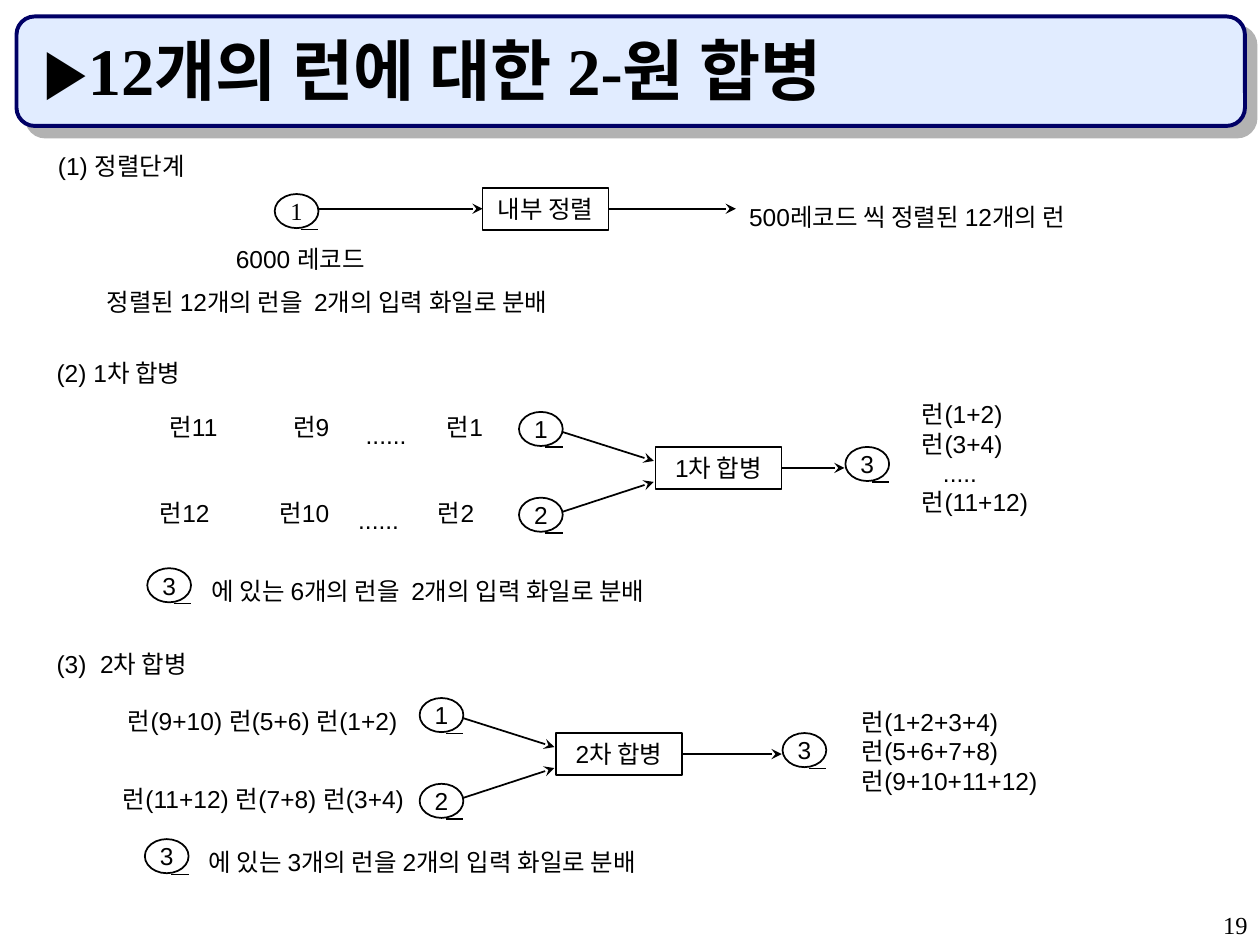
from lxml import etree
from pptx import Presentation
from pptx.dml.color import RGBColor
from pptx.enum.shapes import MSO_CONNECTOR, MSO_SHAPE
from pptx.enum.text import MSO_ANCHOR, PP_ALIGN
from pptx.oxml import parse_xml
from pptx.oxml.ns import nsdecls, qn
from pptx.util import Pt

STRAIGHT = MSO_CONNECTOR.STRAIGHT
OVAL, RECTANGLE, ROUNDED = MSO_SHAPE.OVAL, MSO_SHAPE.RECTANGLE, MSO_SHAPE.ROUNDED_RECTANGLE
LEFT, CENTER, RIGHT = PP_ALIGN.LEFT, PP_ALIGN.CENTER, PP_ALIGN.RIGHT
TOP, MIDDLE, BOTTOM = MSO_ANCHOR.TOP, MSO_ANCHOR.MIDDLE, MSO_ANCHOR.BOTTOM

COLORS = {"ink": "000000", "panel": "E1ECFF", "border": "000066", "shadow": "B2B2B2"}
INK = RGBColor.from_string(COLORS["ink"])
TAPE_W, TAPE_H = 25, 19.5
BOX_W, BOX_H = 72, 24

prs = Presentation()
prs.slide_width, prs.slide_height = Pt(720), Pt(540)
slide = prs.slides.add_slide(prs.slide_layouts[6])


def write(text, x, y, w, h=24, outline=None, size=14, font="Arial", bold=False,
          align=LEFT, anchor=TOP, wrap=True, indents=None):
    """Put text in a text box, or in an outlined shape when one is named."""
    area = [Pt(v) for v in (x, y, w, h)]
    if outline is None:
        holder = slide.shapes.add_textbox(*area)
    else:
        holder = slide.shapes.add_shape(outline, *area)
        holder.shadow.inherit = False
        holder.fill.background()
        holder.line.color.rgb = INK
        holder.line.width = Pt(1)
    frame = holder.text_frame
    frame.word_wrap = wrap
    frame.vertical_anchor = anchor
    frame.text = text
    for number, paragraph in enumerate(frame.paragraphs):
        if indents and number in indents:
            paragraph._p.get_or_add_pPr().set("marL", str(Pt(indents[number])))
        paragraph.alignment = align
        paragraph.font.size = Pt(size)
        paragraph.font.name = font
        paragraph.font.bold = bold
        paragraph.font.color.rgb = INK
    return holder


def draw_line(start, end, arrow=True):
    """Draw a thin black line, with a stealth arrowhead at its end if wanted."""
    link = slide.shapes.add_connector(STRAIGHT, *[Pt(v) for v in (*start, *end)])
    link.line.color.rgb = INK
    link.line.width = Pt(1)
    if arrow:
        etree.SubElement(link.line._get_or_add_ln(), qn("a:tailEnd"), type="stealth")
    etree.SubElement(link._element.spPr, qn("a:effectLst"))
    return link


# Title panel
panel = slide.shapes.add_shape(ROUNDED, Pt(9.4), Pt(9.4), Pt(702), Pt(62.6))
panel.fill.solid()
panel.fill.fore_color.rgb = RGBColor.from_string(COLORS["panel"])
panel.line.color.rgb = RGBColor.from_string(COLORS["border"])
panel.line.width = Pt(2.25)
panel._element.spPr.append(parse_xml(
    f'<a:effectLst {nsdecls("a")}><a:outerShdw dist="{Pt(8.5)}" dir="2700000" '
    f'algn="ctr" rotWithShape="0"><a:srgbClr val="{COLORS["shadow"]}"/>'
    '</a:outerShdw></a:effectLst>'))
write("▶12개의 런에 대한 2-원 합병", 18, 18, 678, 48,
      size=38, font="Times New Roman", bold=True, anchor=BOTTOM)

# Step headings, notes and page number
for text, x, y, width in [
    ("(1) 정렬단계", 26, 83, 110),
    ("500레코드 씩 정렬된 12개의 런", 421, 111.6, 230),
    ("정렬된 12개의 런을  2개의 입력 화일로 분배", 53.8, 160.6, 320),
    ("(2) 1차 합병", 25.2, 200.9, 110),
    ("에 있는 6개의 런을  2개의 입력 화일로 분배", 114, 325.4, 310),
    ("(3)  2차 합병", 25.2, 367.2, 110),
    ("에 있는 3개의 런을 2개의 입력 화일로 분배", 112.2, 480.2, 310),
]:
    write(text, x, y, width)
write("19", 570, 516.2, 150, font="Times New Roman", align=RIGHT)

# Step 1: internal sort
sort_box = write("내부 정렬", 275.8, 107.3, BOX_W, BOX_H, outline=RECTANGLE,
                 align=CENTER, anchor=MIDDLE, wrap=False)
sort_y = 107.3 + BOX_H / 2
draw_line((182.2, sort_y), (275.8, sort_y)).end_connect(sort_box, 1)
draw_line((347.8, sort_y), (420.5, sort_y)).begin_connect(sort_box, 3)
write("6000 레코드", 126, 136, 91.4, align=CENTER, wrap=False)

# Tapes outside the merge diagrams: number, left, top, font
tapes = [("1", 157, 110.9, "Times New Roman"),
         ("3", 84.2, 324.7, "Arial"),
         ("3", 82.8, 479.5, "Arial")]

# Steps 2 and 3: two input tapes merge into an output tape
for label, x, y, output_gap in [("1차 합병", 296.6, 235.4, 186.5),
                                ("2차 합병", 239.8, 398.9, 207.4)]:
    merge_box = write(label, x + 78, y + 20, BOX_W, BOX_H, outline=RECTANGLE,
                      align=CENTER, anchor=MIDDLE, wrap=False)
    tapes += [("1", x, y, "Arial"), ("2", x, y + 49, "Arial"),
              ("3", x + output_gap, y + 20, "Arial")]
    draw_line((x + TAPE_W, y + 11.5), (x + 77, y + 28))
    draw_line((x + TAPE_W, y + 57), (x + 77, y + 40))
    output_y = y + 20 + BOX_H / 2
    draw_line((x + 78 + BOX_W, output_y),
              (x + output_gap - 0.5, output_y)).begin_connect(merge_box, 3)

# Tape symbols: a circle with a short foot at the lower right
for number, x, y, font in tapes:
    write(number, x, y, TAPE_W, TAPE_H, outline=OVAL, font=font,
          align=CENTER, anchor=MIDDLE, wrap=False)
    foot_y = y + TAPE_H + 0.7
    draw_line((x + 15, foot_y), (x + TAPE_W, foot_y), arrow=False)

# Runs on the input tapes
for text, x, y, width in [
    ("런11", 87.1, 231.8, 46.8), ("런9", 158.4, 231.8, 38.9),
    ("......", 201.6, 236.2, 38.2), ("런1", 246.2, 231.8, 38.9),
    ("런12", 82.1, 280.8, 46.8), ("런10", 150.5, 280.8, 46.8),
    ("......", 197.3, 285.1, 38.2), ("런2", 241.2, 280.8, 38.9),
    ("런(9+10) 런(5+6) 런(1+2)", 57.6, 399.6, 185),
    ("런(11+12) 런(7+8) 런(3+4)", 54, 444.2, 193),
]:
    write(text, x, y, width, align=CENTER, wrap=False)

# Runs on the output tapes
write("런(1+2)\n런(3+4)\n.....\n런(11+12)", 519.8, 224.6, 100, 75, indents={2: 12})
write("런(1+2+3+4)\n런(5+6+7+8)\n런(9+10+11+12)", 485.3, 400.3, 140, 57.6)

prs.save("out.pptx")
